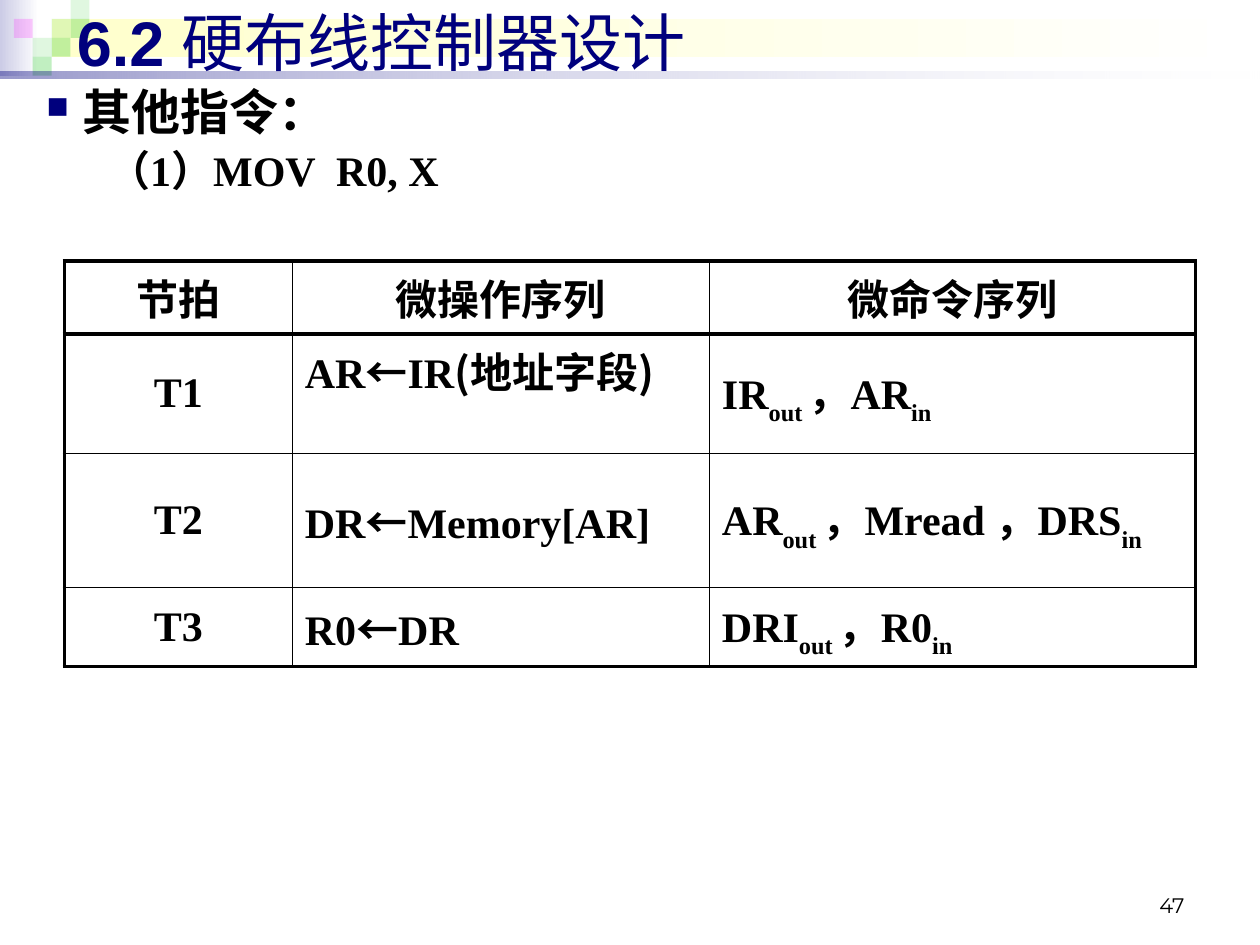
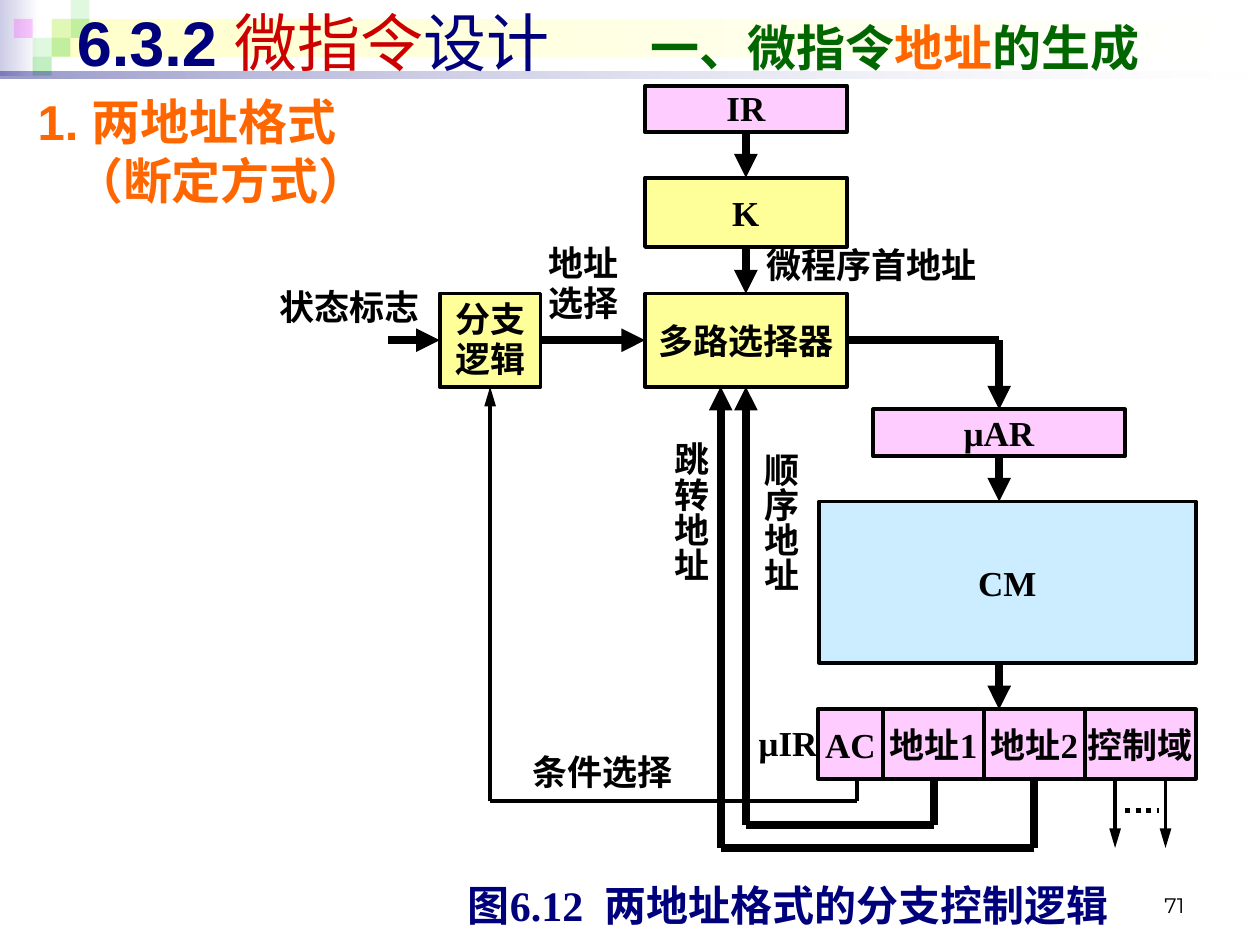
from typing import NamedTuple

from lxml.etree import SubElement
from pptx import Presentation
from pptx.dml.color import RGBColor
from pptx.enum.dml import MSO_LINE_DASH_STYLE as Dash
from pptx.enum.shapes import MSO_CONNECTOR as Connector, MSO_SHAPE as Preset
from pptx.enum.text import MSO_ANCHOR as Anchor, PP_ALIGN as Align
from pptx.oxml.ns import qn
from pptx.util import Inches, Pt

BLACK = RGBColor(0, 0, 0)
WHITE = RGBColor(255, 255, 255)
NAVY = RGBColor(0x00, 0x00, 0x7D)
RED = RGBColor(0xCC, 0x00, 0x00)
DARK_GREEN = RGBColor(0x00, 0x66, 0x00)
ORANGE = RGBColor(0xFF, 0x66, 0x00)
LAVENDER = RGBColor(0xCC, 0xCC, 0xE6)
CREAM = RGBColor(0xFF, 0xFF, 0xCC)
GREEN = RGBColor(0x33, 0xCC, 0x33)
MAGENTA = RGBColor(0xFF, 0x00, 0xFF)
PINK = RGBColor(0xFF, 0xCC, 0xFF)
YELLOW = RGBColor(0xFF, 0xFF, 0x99)
SKY = RGBColor(0xCC, 0xEC, 0xFF)
SERIF, SANS, CJK = "Times New Roman", "Arial", "Noto Sans CJK SC"
TOP, LEFT, BOTTOM, RIGHT = range(4)
THIN, THICK = 2.25, 4.5
TILE = 0.15


class Joint(NamedTuple):
    shape: object
    site: int


def add_run(paragraph, text, size, color=BLACK, font=SERIF, bold=True):
    run = paragraph.add_run()
    run.text = text
    run.font.size = Pt(size)
    run.font.name = font
    run.font.bold = bold
    run.font.color.rgb = color
    return run


def add_rectangle(slide, box):
    shape = slide.shapes.add_shape(Preset.RECTANGLE, *map(Inches, box))
    shape.shadow.inherit = False
    shape.line.fill.background()
    return shape


def set_alpha(shape, *percents):
    colors = shape.element.spPr.iter(qn("a:srgbClr"))
    for color, percent in zip(colors, percents):
        SubElement(color, qn("a:alpha"), val=str(percent * 1000))


def add_gradient(slide, box, start):
    shape = add_rectangle(slide, box)
    shape.fill.gradient()
    shape.fill.gradient_angle = 0
    for stop, color in zip(shape.fill.gradient_stops, (start, WHITE)):
        stop.color.rgb = color
    return shape


def add_tile(slide, column, row, color, alpha):
    shape = add_rectangle(slide, (0.11 + TILE * column, TILE * row, TILE, TILE))
    shape.fill.solid()
    shape.fill.fore_color.rgb = color
    set_alpha(shape, alpha)
    return shape


def decorate_layout(layout, slide):
    shapes = [
        add_gradient(slide, (0, 0, 0.31, 0.6), LAVENDER),
        add_gradient(slide, (0.41, 0.15, 9.55, 0.3), CREAM),
    ]
    tiles = [(2, 1, 15), (3, 0, 15), (3, 1, 30), (1, 2, 15), (2, 2, 30), (1, 3, 30)]
    shapes += [add_tile(slide, column, row, GREEN, alpha) for column, row, alpha in tiles]
    shapes.append(add_tile(slide, 0, 1, MAGENTA, 20))
    rule = add_gradient(slide, (0, 0.57, 10, 0.05), NAVY)
    set_alpha(rule, 40, 10)
    shapes.append(rule)
    for number, shape in enumerate(shapes, 100):
        shape.element.nvSpPr.cNvPr.set("id", str(number))
        layout.shapes.element.append(shape.element)


def set_title(slide, pieces, tab=None):
    title = slide.shapes.title
    title.left, title.top, title.width, title.height = map(Inches, (0.51, -0.03, 9.37, 0.71))
    title.text_frame.vertical_anchor = Anchor.MIDDLE
    paragraph = title.text_frame.paragraphs[0]
    paragraph.alignment = Align.LEFT
    if tab:
        tabs = SubElement(paragraph._p.get_or_add_pPr(), qn("a:tabLst"))
        SubElement(tabs, qn("a:tab"), pos=str(Inches(tab)), algn="l")
    for text, size, color, bold in pieces:
        add_run(paragraph, text, size, color, SANS, bold)


def add_text_box(slide, box):
    text_box = slide.shapes.add_textbox(*map(Inches, box))
    text_box.text_frame.word_wrap = True
    return text_box


def add_page_number(slide, number):
    frame = add_text_box(slide, (7.17, 6.83, 2.33, 0.5)).text_frame
    frame.vertical_anchor = Anchor.BOTTOM
    frame.paragraphs[0].alignment = Align.RIGHT
    add_run(frame.paragraphs[0], number, 12, font="Montserrat", bold=False)


def set_indent(paragraph, margin, indent):
    properties = paragraph._p.get_or_add_pPr()
    properties.set("marL", str(Inches(margin)))
    properties.set("indent", str(Inches(indent)))
    return properties


def fill_label(shape, text, size=20, color=BLACK, align=Align.CENTER, spacing=0.96, wrap=False):
    frame = shape.text_frame
    frame.word_wrap = wrap
    frame.vertical_anchor = Anchor.MIDDLE
    frame.margin_left = frame.margin_right = frame.margin_top = frame.margin_bottom = 0
    for index, line in enumerate(text.split("\n")):
        paragraph = frame.add_paragraph() if index else frame.paragraphs[0]
        paragraph.alignment = align
        paragraph.line_spacing = spacing
        add_run(paragraph, line, size, color)


def add_label(slide, box, text, align=Align.CENTER, vertical=False):
    label = add_text_box(slide, box)
    fill_label(label, text, align=align)
    if vertical:
        label.text_frame._txBody.bodyPr.set("vert", "eaVert")


def add_block(slide, box, text, fill, spacing=1.0, inset=0):
    block = add_rectangle(slide, box)
    block.fill.solid()
    block.fill.fore_color.rgb = fill
    block.line.color.rgb = BLACK
    block.line.width = Pt(THIN)
    fill_label(block, text, spacing=spacing, wrap=inset > 0)
    block.text_frame.margin_left = block.text_frame.margin_right = Inches(inset)
    return block


def add_line(slide, start, end, width, arrow=False, dash=None):
    points = [(0, 0) if isinstance(point, Joint) else point for point in (start, end)]
    line = slide.shapes.add_connector(Connector.STRAIGHT, *map(Inches, points[0] + points[1]))
    if isinstance(start, Joint):
        line.begin_connect(start.shape, start.site)
    if isinstance(end, Joint):
        line.end_connect(end.shape, end.site)
    line.line.color.rgb = BLACK
    line.line.width = Pt(width)
    if dash:
        line.line.dash_style = dash
    if arrow:
        length = "lg" if width == THIN else "med"
        SubElement(line.line._get_or_add_ln(), qn("a:tailEnd"), type="triangle", len=length)
    SubElement(line.element.spPr, qn("a:effectLst"))


def add_route(slide, points, width):
    last = len(points) - 2
    for index, (start, end) in enumerate(zip(points, points[1:])):
        add_line(slide, start, end, width, arrow=index == last)


def set_borders(cell, **widths):
    properties = cell._tc.get_or_add_tcPr()
    for side in "LRTB":
        line = SubElement(properties, qn(f"a:ln{side}"), w=str(Pt(widths[side])))
        fill = SubElement(line, qn("a:solidFill"))
        SubElement(fill, qn("a:srgbClr"), val=str(BLACK))
    cell.fill.background()


def add_step_table(slide, rows):
    widths, heights = (1.81, 3.31, 3.86), (0.58, 0.95, 1.06, 0.63)
    frame = slide.shapes.add_table(4, 3, *map(Inches, (0.51, 2.07, sum(widths), sum(heights))))
    table = frame.table
    table.first_row = table.horz_banding = False
    for column, width in zip(table.columns, widths):
        column.width = Inches(width)
    vertical = (THIN, 1, 1, THIN)
    horizontal = (THIN, THIN, 0.75, 0.75, THIN)
    for r, (texts, height) in enumerate(zip(rows, heights)):
        table.rows[r].height = Inches(height)
        for c, text in enumerate(texts):
            cell = table.cell(r, c)
            set_borders(cell, L=vertical[c], R=vertical[c + 1],
                        T=horizontal[r], B=horizontal[r + 1])
            cell.vertical_anchor = Anchor.TOP if (r, c) == (1, 1) else Anchor.MIDDLE
            paragraph = cell.text_frame.paragraphs[0]
            paragraph.alignment = Align.CENTER if r == 0 or c == 0 else Align.LEFT
            for index, piece in enumerate(text.split("|")):
                special = index % 2 == 1
                run = add_run(paragraph, piece, 24, font=CJK if special and c == 1 else SERIF)
                if special and c == 2:
                    run.font._element.set("baseline", "-30000")
    table.cell(2, 2).margin_right = Inches(0.4)


def build_instruction_slide(slide):
    set_title(slide, [("6.2 ", 36, NAVY, True), ("硬布线控制器设计", 36, NAVY, False)])
    frame = add_text_box(slide, (0.27, 0.6, 9.61, 1.02)).text_frame
    heading = frame.paragraphs[0]
    properties = set_indent(heading, 0.29, -0.29)
    color = SubElement(properties, qn("a:buClr"))
    SubElement(color, qn("a:srgbClr"), val=str(NAVY))
    SubElement(properties, qn("a:buSzPct"), val="62000")
    SubElement(properties, qn("a:buChar"), char="■")
    add_run(heading, "其他指令：", 28)
    item = frame.add_paragraph()
    set_indent(item, 0.79, -0.3)
    item.space_before = Pt(2.4)
    add_run(item, "（1）MOV  R0, X", 24)
    add_step_table(slide, [
        ("节拍", "微操作序列", "微命令序列"),
        ("T1", "AR|←|IR|(|地址字段|)", "IR|out |，AR|in"),
        ("T2", "DR|←|Memory[AR]", "AR|out |，Mread ，DRS|in"),
        ("T3", "R0|←|DR", "DRI|out |，R0|in"),
    ])
    add_page_number(slide, "47")


def build_address_slide(slide):
    set_title(slide, [
        ("6.3.2 ", 36, NAVY, True), ("微指令", 36, RED, False), ("设计\t", 36, NAVY, False),
        ("一、微指令", 28, DARK_GREEN, True), ("地址", 28, ORANGE, True),
        ("的生成", 28, DARK_GREEN, True),
    ], tab=4.55)
    heading = add_text_box(slide, (0.2, 0.68, 4, 1.18)).text_frame.paragraphs[0]
    set_indent(heading, 0.29, -0.29)
    add_run(heading, "1. 两地址格式", 28, ORANGE, SANS)
    heading.add_line_break()
    add_run(heading, "（断定方式）", 28, ORANGE, SANS)

    ir = add_block(slide, (5.12, 0.68, 1.6, 0.37), "IR", PINK, 0.96)
    k = add_block(slide, (5.12, 1.41, 1.6, 0.55), "K", YELLOW)
    branch = add_block(slide, (3.49, 2.33, 0.8, 0.74), "分支逻辑", YELLOW, 0.96, inset=0.1)
    selector = add_block(slide, (5.12, 2.33, 1.6, 0.74), "多路选择器", YELLOW)
    address_register = add_block(slide, (6.93, 3.25, 2, 0.37), "μAR", PINK)
    add_block(slide, (6.5, 3.98, 2.99, 1.28), "CM", SKY)
    fields, left = {}, 6.49
    for name, width in (("AC", 0.52), ("地址1", 0.8), ("地址2", 0.8), ("控制域", 0.88)):
        fields[name] = add_block(slide, (left, 5.63, width, 0.55), name, PINK)
        left += width

    add_line(slide, Joint(ir, BOTTOM), Joint(k, TOP), THICK, True)
    add_line(slide, Joint(k, BOTTOM), Joint(selector, TOP), THICK, True)
    add_line(slide, (3.08, 2.7), Joint(branch, LEFT), THICK, True)
    add_line(slide, Joint(branch, RIGHT), Joint(selector, LEFT), THICK, True)
    add_route(slide, [Joint(selector, RIGHT), (7.93, 2.7), Joint(address_register, TOP)], THICK)
    add_line(slide, Joint(address_register, BOTTOM), (7.93, 3.98), THICK, True)
    add_line(slide, (7.93, 5.26), (7.93, 5.63), THICK, True)
    add_route(slide, [(6.8, 6.18), (6.8, 6.36), (3.89, 6.36), Joint(branch, BOTTOM)], THIN)
    add_route(slide, [Joint(fields["地址1"], BOTTOM), (7.41, 6.55), (5.92, 6.55),
                      Joint(selector, BOTTOM)], THICK)
    add_route(slide, [Joint(fields["地址2"], BOTTOM), (8.21, 6.73), (5.72, 6.73),
                      (5.72, 3.07)], THICK)
    for x in (8.85, 9.25):
        add_line(slide, (x, 6.18), (x, 6.73), THIN, True)
    add_line(slide, (8.93, 6.43), (9.2, 6.43), 3, dash=Dash.ROUND_DOT)

    add_label(slide, (2.16, 2.25, 1.23, 0.4), "状态标志")
    add_label(slide, (4.34, 1.94, 0.58, 0.64), "地址\n选择")
    add_label(slide, (6.08, 1.94, 2.07, 0.35), "微程序首地址", Align.LEFT)
    add_label(slide, (5.31, 3.51, 0.32, 1.37), "跳转地址", vertical=True)
    add_label(slide, (6.02, 3.59, 0.32, 1.18), "顺序地址", vertical=True)
    add_label(slide, (4.13, 6, 1.31, 0.28), "条件选择")
    add_label(slide, (5.98, 5.63, 0.55, 0.55), "μIR")
    caption = add_rectangle(slide, (3.5, 6.98, 5.51, 0.43))
    caption.fill.solid()
    caption.fill.fore_color.rgb = WHITE
    fill_label(caption, "图6.12  两地址格式的分支控制逻辑", 24, NAVY)
    add_page_number(slide, "71")


def main():
    presentation = Presentation()
    presentation.slide_width, presentation.slide_height = Inches(10), Inches(7.5)
    layout = presentation.slide_layouts[5]
    slides = [presentation.slides.add_slide(layout) for _ in range(2)]
    decorate_layout(layout, slides[0])
    build_instruction_slide(slides[0])
    build_address_slide(slides[1])
    presentation.save("out.pptx")


if __name__ == "__main__":
    main()
